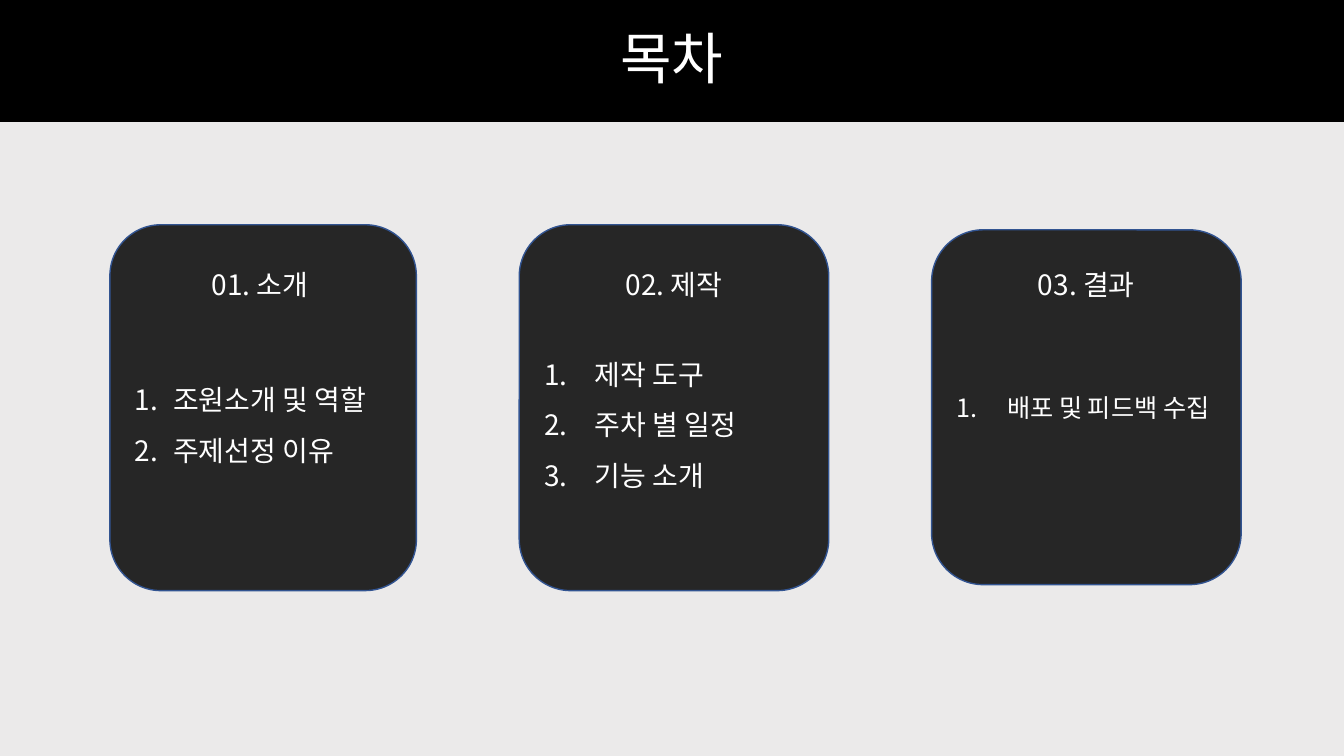
from dataclasses import dataclass
from lxml import etree
from pptx import Presentation
from pptx.dml.color import RGBColor
from pptx.enum.shapes import MSO_SHAPE
from pptx.enum.text import MSO_ANCHOR, MSO_AUTO_SIZE, PP_ALIGN
from pptx.oxml.ns import qn
from pptx.util import Inches, Pt

ROUND = MSO_SHAPE.ROUNDED_RECTANGLE
MIDDLE = MSO_ANCHOR.MIDDLE
FIXED = MSO_AUTO_SIZE.NONE
CENTER, LEFT = PP_ALIGN.CENTER, PP_ALIGN.LEFT
WIDTH, HEIGHT = 13.33, 7.5


@dataclass(frozen=True)
class Theme:
    """Colours, font and type sizes."""
    page: str = "EBEAEA"
    band: str = "000000"
    card: str = "262626"
    edge: str = "325491"
    ink: str = "FFFFFF"
    font: str = "Noto Sans CJK KR"
    title: int = 40
    body: int = 20
    small: int = 18


class Deck:
    """Draws the parts of the agenda slide in one style."""

    def __init__(self, theme):
        """Open a deck with one title-only slide."""
        self.theme = theme
        self.deck = Presentation()
        self.deck.slide_width = Inches(WIDTH)
        self.deck.slide_height = Inches(HEIGHT)
        self.slide = self.deck.slides.add_slide(self.deck.slide_layouts[5])
        self.paint(self.slide.background, theme.page)

    def paint(self, item, color):
        """Give an item a solid fill."""
        item.fill.solid()
        item.fill.fore_color.rgb = RGBColor.from_string(color)

    def style(self, para, size, align):
        """Set the font and alignment of a paragraph."""
        para.alignment = align
        font = para.font
        font.size = Pt(size)
        font.color.rgb = RGBColor.from_string(self.theme.ink)
        font.name = self.theme.font
        props = para._p.pPr.find(qn("a:defRPr"))
        etree.SubElement(props, qn("a:ea"), typeface=self.theme.font)

    def title(self, text, height):
        """Fill the title band across the top."""
        band = self.slide.shapes.title
        band.left = band.top = 0
        band.width, band.height = Inches(WIDTH), Inches(height)
        self.paint(band, self.theme.band)
        frame = band.text_frame
        frame.text = text
        frame.auto_size = FIXED
        frame.vertical_anchor = MIDDLE
        para = frame.paragraphs[0]
        para.line_spacing = 0.9
        self.style(para, self.theme.title, CENTER)

    def label(self, group, text, left, top, width, height):
        """Add a centred heading to a group."""
        box = group.shapes.add_textbox(
            Inches(left), Inches(top), Inches(width), Inches(height))
        frame = box.text_frame
        frame.word_wrap = True
        frame.text = text
        self.style(frame.paragraphs[0], self.theme.body, CENTER)

    def number(self, para, indent):
        """Number a paragraph with a hanging indent."""
        props = para._p.get_or_add_pPr()
        props.set("marL", str(Inches(indent)))
        props.set("indent", str(-Inches(indent)))
        etree.SubElement(props, qn("a:buFont"), typeface=self.theme.font)
        etree.SubElement(props, qn("a:buAutoNum"), type="arabicPeriod")

    def card(self, group, items, place, indent, size, spacing, inset):
        """Add a rounded card with a numbered list to a group."""
        card = group.shapes.add_shape(ROUND, *map(Inches, place))
        card.shadow.inherit = False
        self.paint(card, self.theme.card)
        card.line.color.rgb = RGBColor.from_string(self.theme.edge)
        card.line.width = Pt(1)
        frame = card.text_frame
        frame.word_wrap = True
        frame.vertical_anchor = MIDDLE
        frame.margin_top = Inches(inset)
        frame.text = "\n".join(items)
        for para in frame.paragraphs:
            self.number(para, indent)
            para.line_spacing = spacing
            self.style(para, size, LEFT)

    def topic(self, head, shift, items, place, indent, size, spacing, inset):
        """Group a card with its heading."""
        group = self.slide.shapes.add_group_shape()
        self.card(group, items, place, indent, size, spacing, inset)
        self.label(group, head, place[0] + shift, 2.6, place[2], 0.44)

    def save(self):
        """Write the deck."""
        self.deck.save("out.pptx")


def main():
    """Build the agenda slide."""
    theme = Theme()
    deck = Deck(theme)
    deck.title("목차", 1.21)
    topics = [
        ("01. 소개", -0.03, ["조원소개 및 역할", "주제선정 이유"],
         (1.09, 2.23, 3.04, 3.63), 0.38, theme.body, 1.5, 0.22),
        ("02. 제작", 0, ["제작 도구", "주차 별 일정", "기능 소개"],
         (5.15, 2.23, 3.07, 3.63), 0.5, theme.body, 1.5, 0.22),
        ("03. 결과", 0, ["배포 및 피드백 수집"],
         (9.24, 2.28, 3.07, 3.52), 0.5, theme.small, 1.0, 0.05),
    ]
    for topic in topics:
        deck.topic(*topic)
    deck.save()


if __name__ == "__main__":
    main()
